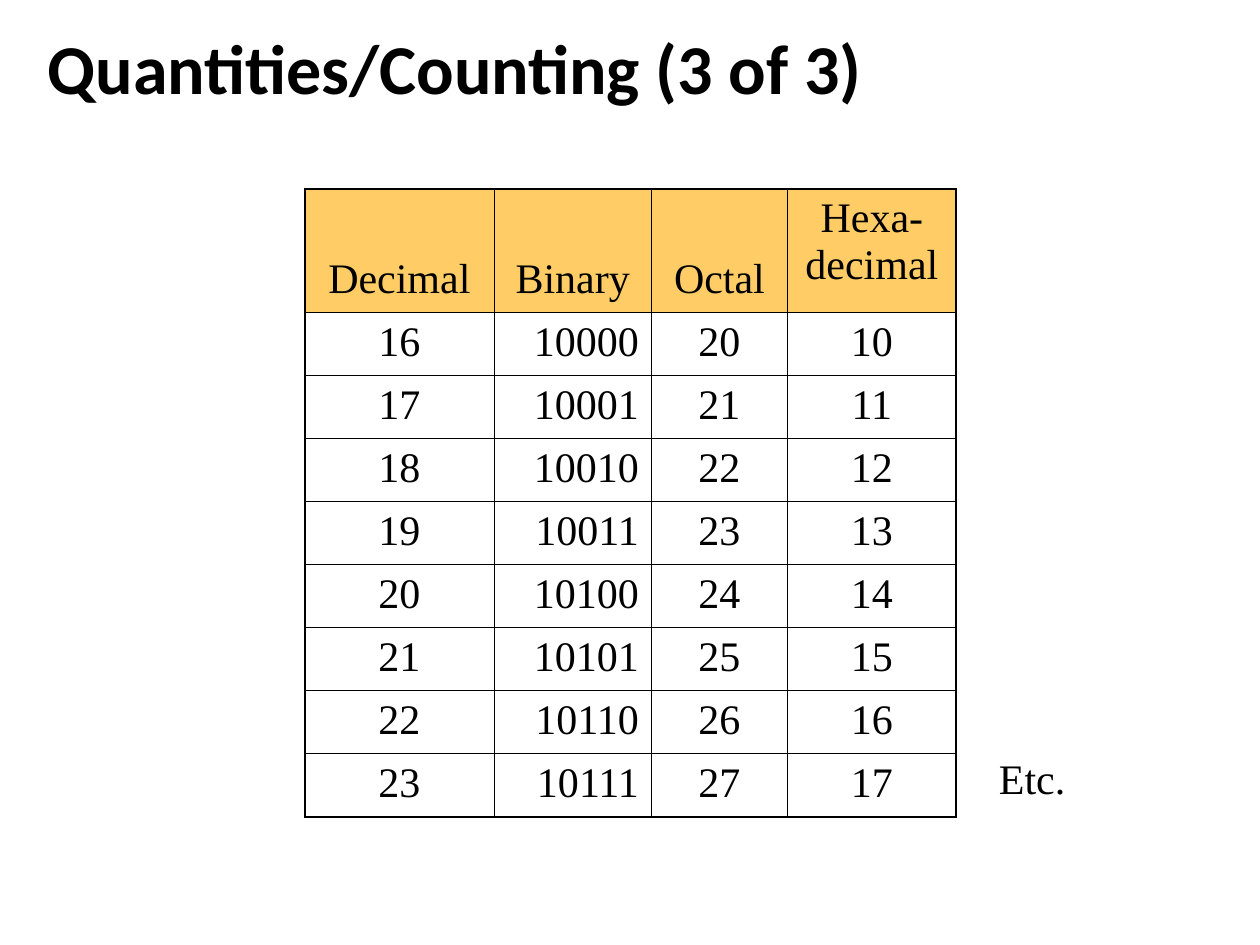
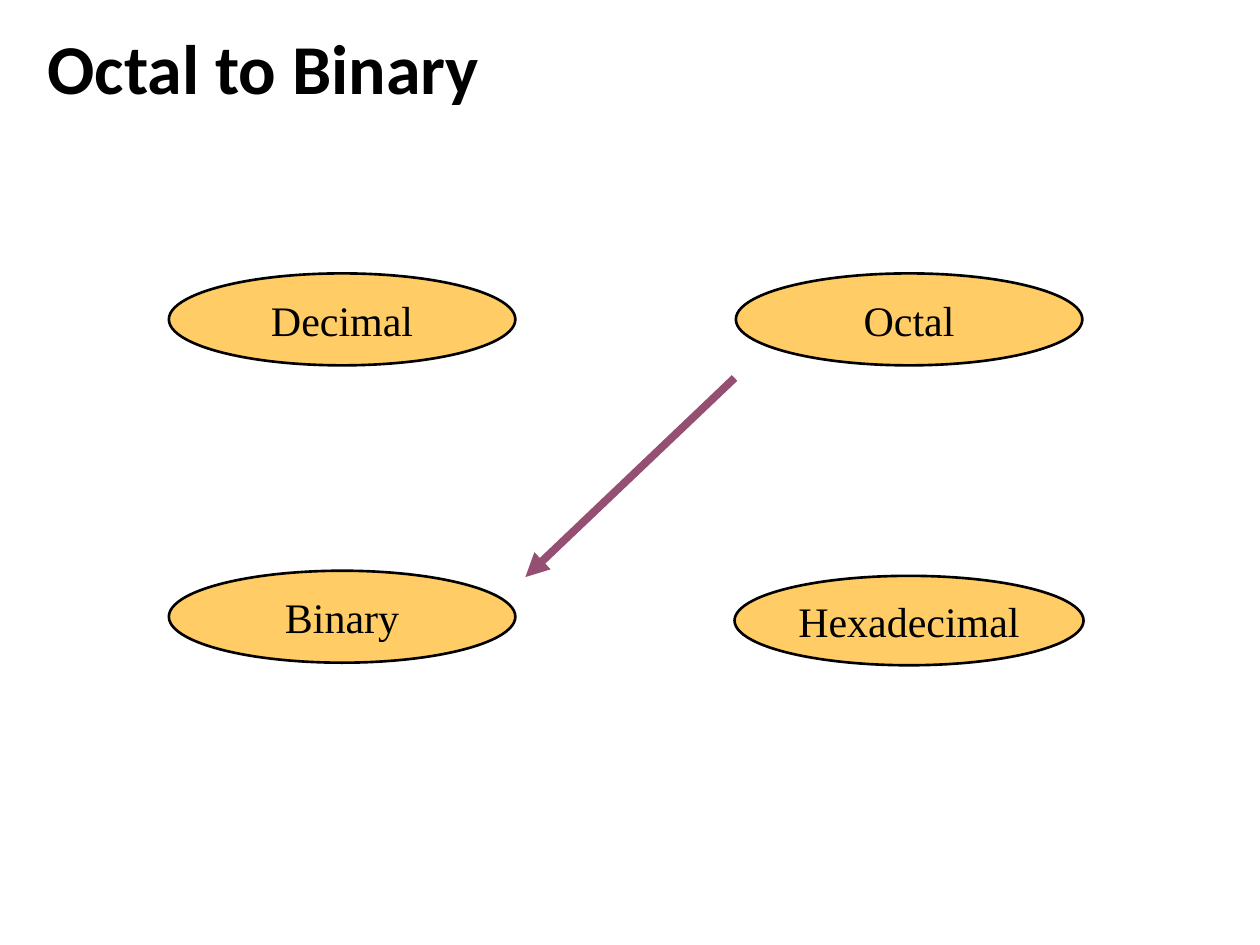
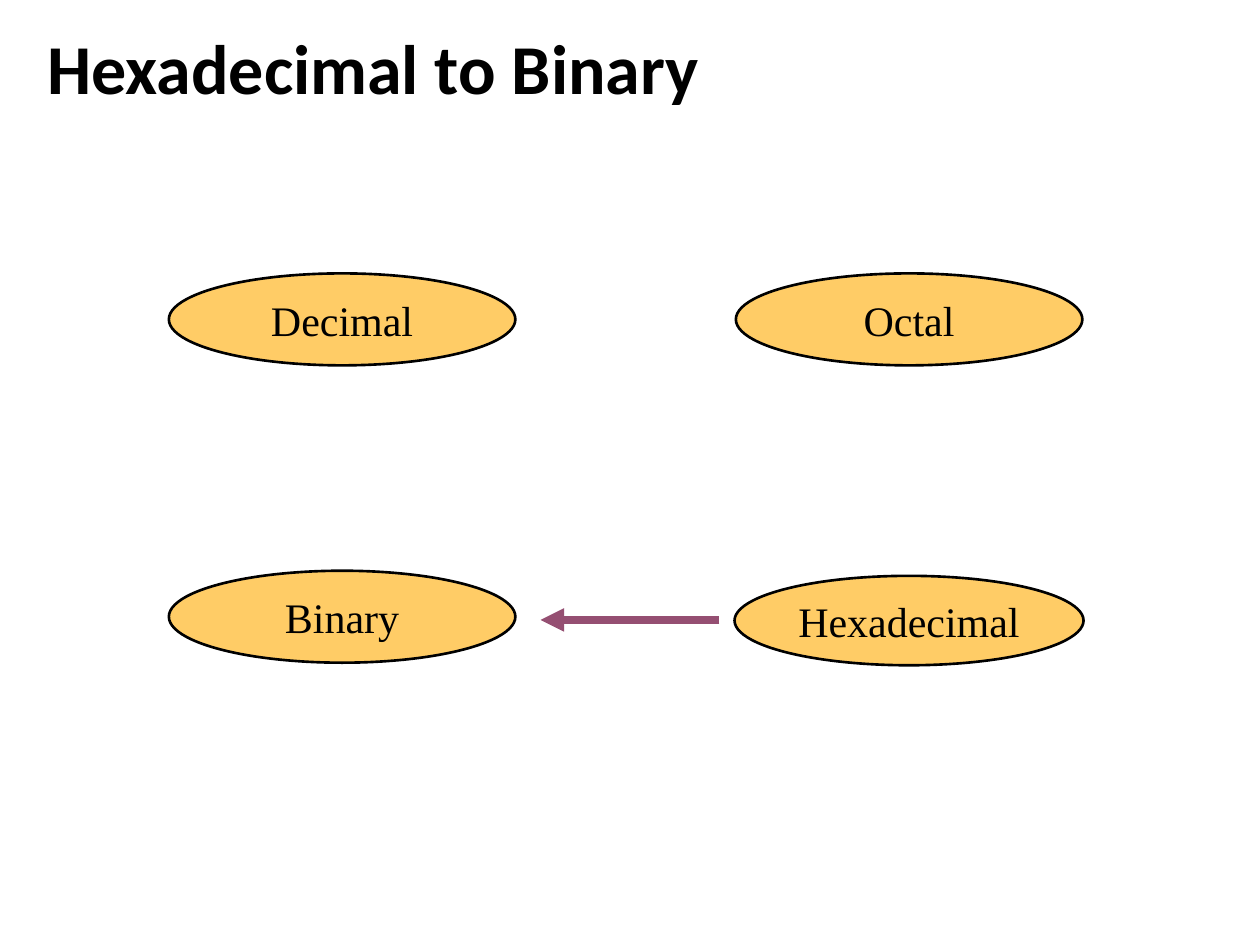
from lxml.etree import SubElement
from pptx import Presentation
from pptx.dml.color import RGBColor
from pptx.enum.shapes import MSO_CONNECTOR, MSO_SHAPE
from pptx.enum.text import MSO_ANCHOR, PP_ALIGN
from pptx.oxml.ns import qn
from pptx.util import Inches, Pt

SLIDE_W, SLIDE_H = Inches(10), Inches(7.5)
COL, ROW = SLIDE_W / 10, SLIDE_H / 7.5
BLACK, AMBER, PLUM = "000000", "FFCC66", "954F72"
TITLE_FONT, BODY_FONT = "Calibri", "Times New Roman"
TITLE_BOX = (0.28, 0, 9.35, 1.14)
TABLE_BOX = (2.42, 1.5, 5.17, 4.98)
DIAGRAM_BOX = (1.34, 2.17, 7.26, 3.11)
HEADERS = ("Decimal", "Binary", "Octal", "Hexa-\ndecimal")
COL_WIDTHS = (1.5, 1.25, 1.08, 1.34)
ROW_HEIGHT = 0.5
OVALS = (
    ("Hexadecimal", 4.49, 2.4, 2.77, 0.71),
    ("Decimal", 0, 0, 2.75, 0.73),
    ("Octal", 4.5, 0, 2.75, 0.73),
    ("Binary", 0, 2.36, 2.75, 0.73),
)


def rgb(hex_color):
    """Turn a hex string into a colour."""
    return RGBColor.from_string(hex_color)


def place(box, x=0, y=0, w=None, h=None):
    """Return slide lengths for a part given in grid units inside a box."""
    w = box[2] if w is None else w
    h = box[3] if h is None else h
    return [round(n) for n in ((box[0] + x) * COL, (box[1] + y) * ROW, w * COL, h * ROW)]


def write(tf, text, size=24, font=BODY_FONT, bold=False, align=PP_ALIGN.CENTER):
    """Write one styled paragraph and return it."""
    p = tf.paragraphs[0]
    p.text = text
    p.alignment = align
    p.font.size, p.font.name, p.font.bold = Pt(size), font, bold
    p.font.color.rgb = rgb(BLACK)
    return p


def add_title(slide, text):
    """Add the slide title."""
    tf = slide.shapes.add_textbox(*place(TITLE_BOX)).text_frame
    tf.word_wrap = True
    tf.vertical_anchor = MSO_ANCHOR.MIDDLE
    write(tf, text, 40, TITLE_FONT, True, PP_ALIGN.LEFT).line_spacing = 0.9


def set_borders(cell, widths):
    """Draw the left, right, top and bottom borders of a cell."""
    tc_pr = cell._tc.get_or_add_tcPr()
    for side, width in zip("LRTB", widths):
        ln = SubElement(tc_pr, qn(f"a:ln{side}"), w=str(Pt(width)))
        fill = SubElement(ln, qn("a:solidFill"))
        SubElement(fill, qn("a:srgbClr"), val=BLACK)


def add_number_table(slide, box, rows):
    """Add the counting table with a thicker outer border."""
    data = [HEADERS, *rows]
    last_row, last_col = len(data) - 1, len(HEADERS) - 1
    table = slide.shapes.add_table(len(data), len(HEADERS), *place(box)).table
    table.first_row = table.horz_banding = False
    for column, width in zip(table.columns, COL_WIDTHS):
        column.width = round(width * COL)
    for r, values in enumerate(data):
        header_height = box[3] - last_row * ROW_HEIGHT
        table.rows[r].height = round((ROW_HEIGHT if r else header_height) * ROW)
        for c, value in enumerate(values):
            cell = table.cell(r, c)
            outer = (c == 0, c == last_col, r == 0, r == last_row)
            set_borders(cell, [1.08 if edge else 0.45 for edge in outer])
            if r:
                cell.fill.background()
            else:
                cell.fill.solid()
                cell.fill.fore_color.rgb = rgb(AMBER)
                if c < last_col:
                    cell.vertical_anchor = MSO_ANCHOR.BOTTOM
                    cell.margin_bottom = round(0.08 * ROW)
            right = r > 0 and c == 1
            p = write(cell.text_frame, value, align=PP_ALIGN.RIGHT if right else PP_ALIGN.CENTER)
            p.space_before = Pt(6)


def add_note(slide, box, text):
    """Add a short unwrapped note."""
    tf = slide.shapes.add_textbox(*place(box)).text_frame
    tf.word_wrap = False
    write(tf, text, align=PP_ALIGN.LEFT)


def add_oval(slide, box, text, *part):
    """Add one labelled number-system oval."""
    sp = slide.shapes.add_shape(MSO_SHAPE.OVAL, *place(box, *part))
    sp.shadow.inherit = False
    sp.fill.solid()
    sp.fill.fore_color.rgb = rgb(AMBER)
    sp.line.color.rgb = rgb(BLACK)
    sp.line.width = Pt(1.5)
    tf = sp.text_frame
    tf.word_wrap = False
    tf.vertical_anchor = MSO_ANCHOR.MIDDLE
    write(tf, text)


def add_arrow(slide, box, start, end):
    """Add a conversion arrow between two points of a box."""
    points = place(box, *start)[:2] + place(box, *end)[:2]
    cxn = slide.shapes.add_connector(MSO_CONNECTOR.STRAIGHT, *points)
    cxn.line.color.rgb = rgb(PLUM)
    cxn.line.width = Pt(4.5)
    SubElement(cxn.line._get_or_add_ln(), qn("a:tailEnd"), type="triangle")
    SubElement(cxn._element.spPr, qn("a:effectLst"))


def add_slide(prs, title):
    """Add a blank slide with a title."""
    slide = prs.slides.add_slide(prs.slide_layouts[6])
    add_title(slide, title)
    return slide


def counting_slide(prs, title, numbers):
    """Build the slide that lists numbers in four bases."""
    slide = add_slide(prs, title)
    add_number_table(slide, TABLE_BOX, [[format(n, base) for base in "dboX"] for n in numbers])
    add_note(slide, (7.83, 5.92, 0.73, 0.5), "Etc.")


def conversion_slide(prs, title, start, end):
    """Build a slide that shows one conversion between bases."""
    slide = add_slide(prs, title)
    for oval in OVALS:
        add_oval(slide, DIAGRAM_BOX, *oval)
    add_arrow(slide, DIAGRAM_BOX, start, end)


def main():
    """Build and save the presentation."""
    prs = Presentation()
    prs.slide_width, prs.slide_height = SLIDE_W, SLIDE_H
    counting_slide(prs, "Quantities/Counting (3 of 3)", range(16, 24))
    conversion_slide(prs, "Octal to Binary", (4.49, 0.83), (2.83, 2.41))
    conversion_slide(prs, "Hexadecimal to Binary", (4.37, 2.75), (2.95, 2.75))
    prs.save("out.pptx")


if __name__ == "__main__":
    main()
